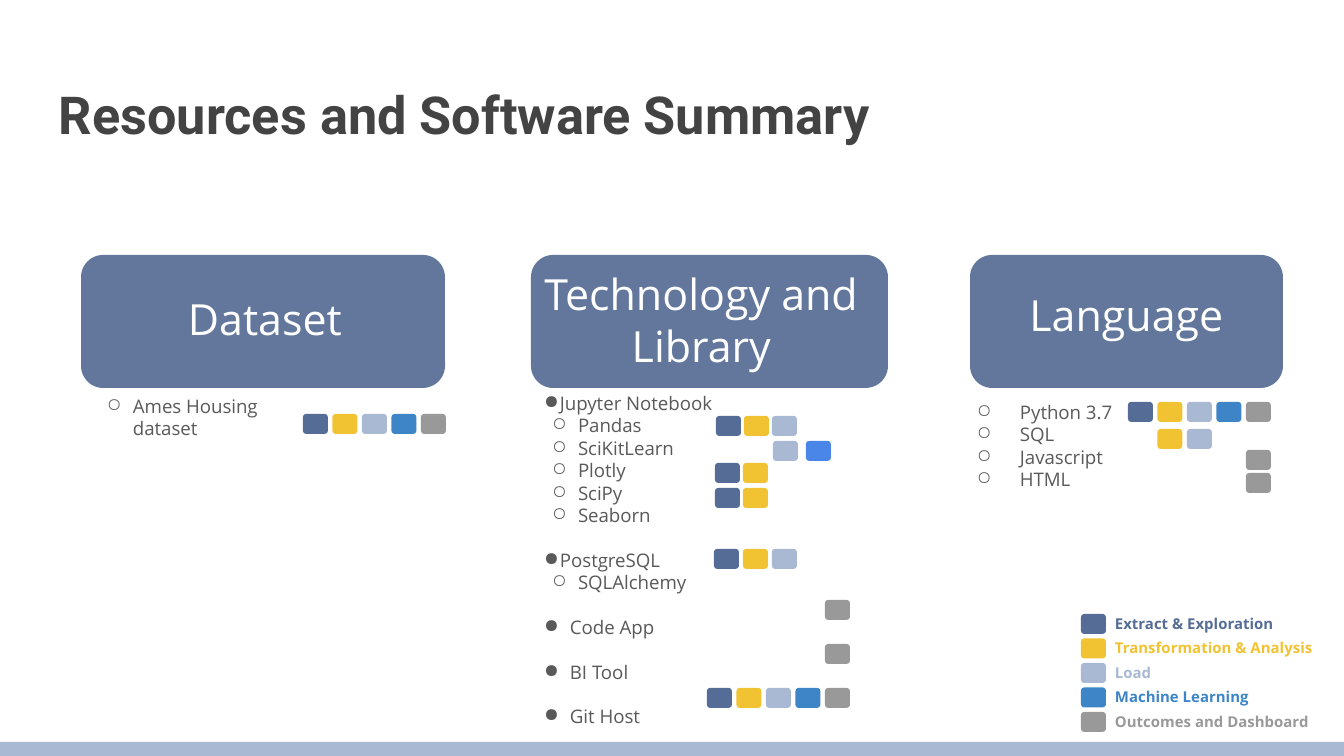
from pptx import Presentation, util as u
from pptx.dml.color import RGBColor
from pptx.enum import shapes, text
from lxml import etree

SCALE = 914400 / 134.4
SANS = "Open Sans"
GREY = "595959"
HUES = {"E": "556D96", "T": "F1C232", "L": "A9B9D3",
        "M": "3D85C6", "O": "999999", "B": "4A86E8"}
CHIP = (25, 20)

# heading, card box, label box
CARDS = [
    ("Dataset", (81, 255, 364, 133), (83, 280, 364, 86)),
    ("Technology and Library", (531, 255, 357, 133), (530, 255, 343, 79)),
    ("Language", (970, 255, 313, 133), (970, 276, 313, 86)),
]

# bullet style: level, sign, indent, hang
STYLES = {
    "data": (1, "○", 42, 26),
    "lang": (1, "○", 51, 43),
    "main": (0, "●", 16, 17),
    "sub": (1, "○", 34, 26),
    "tool": (0, "●", 26, 26),
}

# box, left inset, items of (style, words, gap before in pt)
LISTS = [
    ((83, 382, 247, 429), 8, [("data", "Ames Housing dataset", 0)]),
    ((536, 379, 195, 363), 8, [
        ("main", "Jupyter Notebook", 0),
        ("sub", "Pandas", 0),
        ("sub", "SciKitLearn", 0),
        ("sub", "Plotly", 0),
        ("sub", "SciPy", 0),
        ("sub", "Seaborn", 0),
        ("main", "PostgreSQL", 12),
        ("sub", "SQLAlchemy", 0),
        ("tool", "Code App", 12),
        ("tool", "BI Tool", 12),
        ("tool", "Git Host", 12),
    ]),
    ((956, 388, 247, 318), 13, [
        ("lang", "Python 3.7", 0),
        ("lang", "SQL", 0),
        ("lang", "Javascript", 0),
        ("lang", "HTML", 0),
    ]),
]

# left, top, pitch, hues in order (a dot leaves a slot empty)
ROWS = [
    (303, 414, 29.5, "ETLMO"),
    (716, 416, 28, "ETL"),
    (773, 441, 33, "LB"),
    (715, 463, 28, "ET"),
    (715, 488, 28, "ET"),
    (714, 549, 29, "ETL"),
    (825, 600, 29.5, "O"),
    (825, 644, 29.5, "O"),
    (707, 688, 29.5, "ETLMO"),
    (1128, 402, 29.5, "ETLMO"),
    (1128, 429, 29.5, ".TL"),
    (1128, 450, 29.5, "....O"),
    (1128, 473, 29.5, "....O"),
]

LEGEND = [("E", "Extract & Exploration"), ("T", "Transformation & Analysis"),
          ("L", "Load"), ("M", "Machine Learning"),
          ("O", "Outcomes and Dashboard")]
STEP = 24.5


def px(n):
    return u.Emu(round(n * SCALE))


def rgb(code):
    return RGBColor.from_string(code)


def block(box, hue, kind=shapes.MSO_SHAPE.ROUNDED_RECTANGLE):
    shape = slide.shapes.add_shape(kind, *map(px, box))
    shape.shadow.inherit = False
    shape.fill.solid()
    shape.fill.fore_color.rgb = rgb(hue)
    shape.line.fill.background()


def frame(box, left=13):
    tf = slide.shapes.add_textbox(*map(px, box)).text_frame
    tf.word_wrap = True
    tf.margin_left = px(left)
    tf.margin_right = tf.margin_top = tf.margin_bottom = px(13)
    return tf


def write(para, words, size, hue, bold=False, face=SANS):
    para.text = words
    font = para.runs[0].font
    font.size, font.name, font.bold = u.Pt(size), face, bold
    font.color.rgb = rgb(hue)
    if face == SANS:
        para.line_spacing = u.Pt(size * 1.2)


def bullet(para, sign, indent, hang):
    prop = para._p.get_or_add_pPr()
    prop.set("marL", str(px(indent)))
    prop.set("indent", str(-px(hang)))
    ns = prop.nsmap["a"]
    tint = etree.SubElement(prop, f"{{{ns}}}buClr")
    etree.SubElement(tint, f"{{{ns}}}srgbClr", val=GREY)
    etree.SubElement(prop, f"{{{ns}}}buChar", char=sign)


deck = Presentation()
deck.slide_width, deck.slide_height = px(1344), px(756)
slide = deck.slides.add_slide(deck.slide_layouts[6])

block((0, 742, 1344, 14), HUES["L"], shapes.MSO_SHAPE.RECTANGLE)
write(frame((46, 69, 1252, 103)).paragraphs[0],
      "Resources and Software Summary", 28, "434343", True, "Roboto")

for name, card, label in CARDS:
    block(card, "62779B")
    para = frame(label).paragraphs[0]
    write(para, name, 23, "FFFFFF")
    para.alignment = text.PP_ALIGN.CENTER

for box, left, items in LISTS:
    tf = frame(box, left)
    for i, (style, words, gap) in enumerate(items):
        para = tf.add_paragraph() if i else tf.paragraphs[0]
        level, *mark = STYLES[style]
        para.level = level
        bullet(para, *mark)
        write(para, words, 10, GREY)
        if gap:
            para.space_before = u.Pt(gap)

for left, top, pitch, row in ROWS:
    for i, key in enumerate(row):
        if key in HUES:
            block((left + i * pitch, top, *CHIP), HUES[key])

for i, (key, words) in enumerate(LEGEND):
    block((1081, 614 + i * STEP, *CHIP), HUES[key])
    write(frame((1102, 605 + i * STEP, 242, 39)).paragraphs[0],
          words, 8, HUES[key], True)

deck.save("out.pptx")
